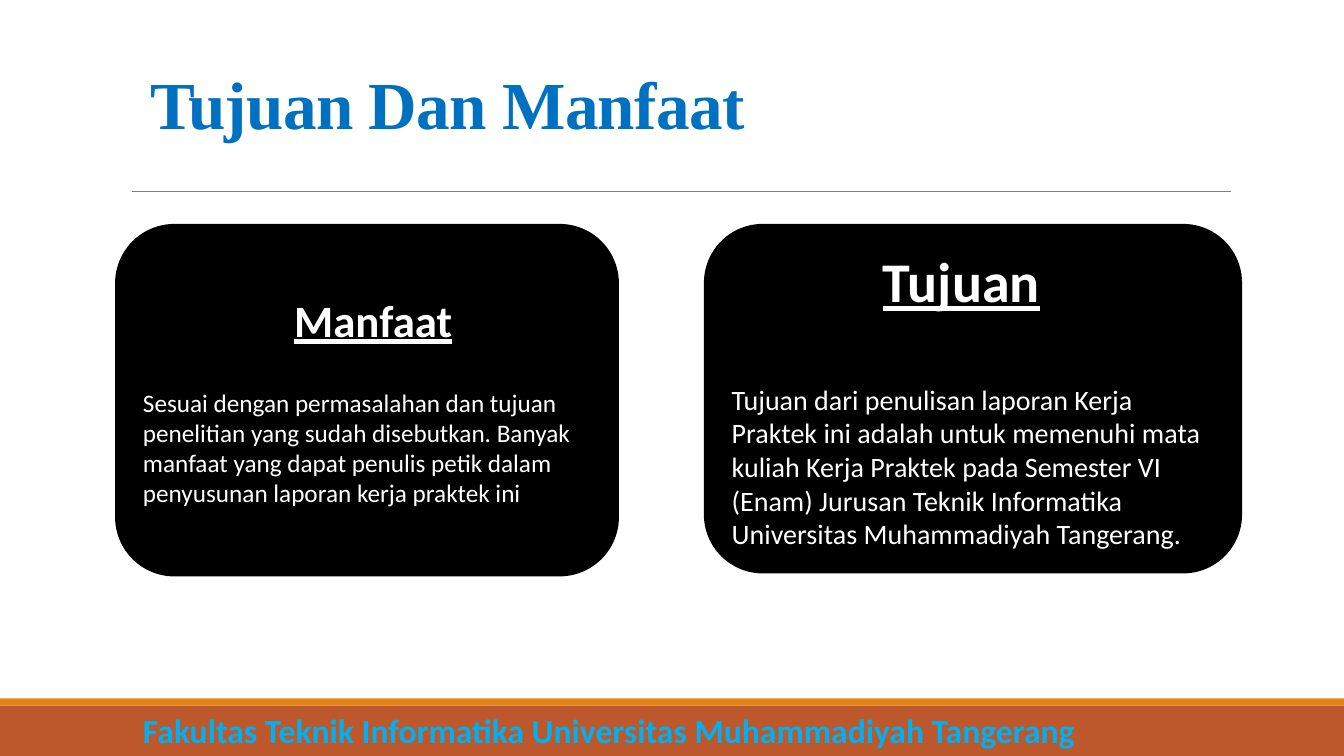
from pptx import Presentation
from pptx.dml.color import RGBColor
from pptx.enum.shapes import MSO_CONNECTOR, MSO_SHAPE
from pptx.enum.text import MSO_ANCHOR, MSO_AUTO_SIZE, PP_ALIGN
from pptx.oxml.ns import qn
from pptx.util import Inches, Pt
from lxml import etree

RECTANGLE = MSO_SHAPE.RECTANGLE
ROUNDED_RECTANGLE = MSO_SHAPE.ROUNDED_RECTANGLE
STRAIGHT = MSO_CONNECTOR.STRAIGHT
MIDDLE = MSO_ANCHOR.MIDDLE
BOTTOM = MSO_ANCHOR.BOTTOM
NO_AUTOFIT = MSO_AUTO_SIZE.NONE
LEFT = PP_ALIGN.LEFT
CENTER = PP_ALIGN.CENTER

BLACK = RGBColor(0x00, 0x00, 0x00)
WHITE = RGBColor(0xFF, 0xFF, 0xFF)
GRAY = RGBColor(0x80, 0x80, 0x80)
TITLE_BLUE = RGBColor(0x00, 0x70, 0xC0)
FOOTER_BLUE = RGBColor(0x00, 0xB0, 0xF0)
RUST = RGBColor(0xBD, 0x58, 0x2C)
ORANGE = RGBColor(0xE4, 0x83, 0x12)

SLIDE_WIDTH = 13.33
SLIDE_HEIGHT = 7.5
TITLE_ONLY_LAYOUT = 5
HEADING_INDENT = 1.5
LINE_HEIGHT = 1.22


def format_text(paragraph, size, color, name="Calibri", bold=False, alignment=LEFT):
    paragraph.alignment = alignment
    font = paragraph.font
    font.name = name
    font.size = Pt(size)
    font.bold = bold
    font.color.rgb = color


def add_filled_shape(slide, kind, box, color):
    shape = slide.shapes.add_shape(kind, *map(Inches, box))
    shape.shadow.inherit = False
    shape.fill.solid()
    shape.fill.fore_color.rgb = color
    shape.line.fill.background()
    return shape


def add_title(slide, box, text):
    title = slide.shapes.title
    title.left, title.top, title.width, title.height = map(Inches, box)
    frame = title.text_frame
    frame.auto_size = NO_AUTOFIT
    frame.vertical_anchor = BOTTOM
    frame.margin_right = 0
    paragraph = frame.paragraphs[0]
    run = paragraph.add_run()
    run.text = text
    run.font._element.set("spc", "-50")
    paragraph.line_spacing = 0.85
    format_text(paragraph, 48, TITLE_BLUE, "Times New Roman", True)


def add_title_rule(slide, left, top, width):
    rule = slide.shapes.add_connector(
        STRAIGHT, Inches(left), Inches(top), Inches(left + width), Inches(top)
    )
    rule.line.color.rgb = GRAY
    rule.line.width = Pt(0.5)
    etree.SubElement(rule._element.spPr, qn("a:effectLst"))


def add_card(slide, box, heading, heading_size, body, body_size, gap_size):
    card = add_filled_shape(slide, ROUNDED_RECTANGLE, box, BLACK)
    card.line.color.rgb = BLACK
    card.line.width = Pt(1.25)
    frame = card.text_frame
    frame.word_wrap = True
    frame.vertical_anchor = MIDDLE

    heading_paragraph = frame.paragraphs[0]
    heading_paragraph.text = heading
    format_text(heading_paragraph, heading_size, WHITE, bold=True)
    heading_paragraph.font.underline = True
    properties = heading_paragraph._p.get_or_add_pPr()
    properties.set("marL", str(Inches(HEADING_INDENT)))
    properties.set("indent", "0")

    body_paragraph = frame.add_paragraph()
    body_paragraph.text = body
    body_paragraph.space_before = Pt(gap_size * LINE_HEIGHT)
    format_text(body_paragraph, body_size, WHITE)


def add_footer(slide, top, height, text):
    stripe_height = 0.07
    add_filled_shape(slide, RECTANGLE, (0, top, SLIDE_WIDTH, height), RUST)
    add_filled_shape(
        slide, RECTANGLE, (0, top - stripe_height, SLIDE_WIDTH, stripe_height), ORANGE
    )
    text_box = slide.shapes.add_textbox(
        0, Inches(top + 0.04), Inches(12.08), Inches(height - 0.04)
    )
    frame = text_box.text_frame
    frame.word_wrap = True
    paragraph = frame.paragraphs[0]
    paragraph.text = text
    paragraph.line_spacing = 0.9
    format_text(paragraph, 24, FOOTER_BLUE, bold=True, alignment=CENTER)


def main():
    presentation = Presentation()
    presentation.slide_width = Inches(SLIDE_WIDTH)
    presentation.slide_height = Inches(SLIDE_HEIGHT)
    slide = presentation.slides.add_slide(
        presentation.slide_layouts[TITLE_ONLY_LAYOUT]
    )
    add_title(slide, (1.39, 0.64, 6.13, 0.83), "Tujuan Dan Manfaat")
    add_title_rule(slide, 1.31, 1.9, 10.9)
    add_card(
        slide, (6.99, 2.23, 5.32, 3.45), "Tujuan", 40,
        "Tujuan dari penulisan laporan Kerja Praktek ini adalah untuk memenuhi "
        "mata kuliah Kerja Praktek pada Semester VI (Enam) Jurusan Teknik "
        "Informatika Universitas Muhammadiyah Tangerang.",
        20, 40,
    )
    add_card(
        slide, (1.15, 2.23, 4.98, 3.48), "Manfaat", 32,
        "Sesuai dengan permasalahan dan tujuan penelitian yang sudah disebutkan. "
        "Banyak manfaat yang dapat penulis petik dalam penyusunan laporan kerja "
        "praktek ini",
        18, 24,
    )
    add_footer(
        slide, 7, 0.5,
        "Fakultas Teknik Informatika Universitas Muhammadiyah Tangerang",
    )
    presentation.save("out.pptx")


if __name__ == "__main__":
    main()
